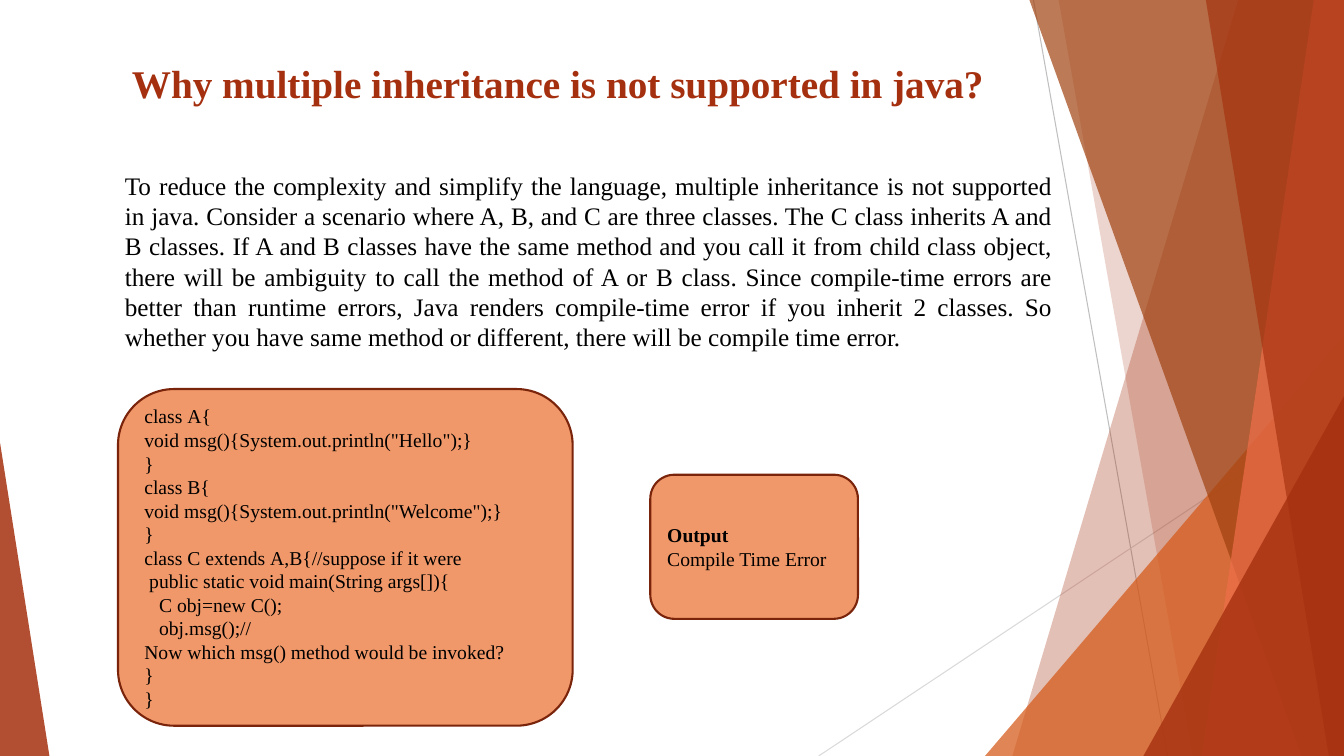
"""Build a slide on why Java has no multiple inheritance."""
import pptx
import pptx.dml.color
import pptx.enum.shapes
import pptx.enum.text
import pptx.oxml.ns
import pptx.util
from lxml import etree
from pptx.util import Inches

WIDTH, HEIGHT = 13.33, 7.5
FONT = "Times New Roman"
COLOURS = {
    "rust": "A5300F",
    "orange": "D55816",
    "brown": "A04210",
    "coral": "EE6E4A",
    "peach": "F09869",
    "border": "7A240B",
    "text": "000000",
    "grey": "BFBFBF",
    "pale grey": "D9D9D9",
}
BODY = (
    "To reduce the complexity and simplify the language, multiple inheritance is not "
    "supported in java. Consider a scenario where A, B, and C are three classes. The C "
    "class inherits A and B classes. If A and B classes have the same method and you call "
    "it from child class object, there will be ambiguity to call the method of A or B "
    "class. Since compile-time errors are better than runtime errors, Java renders "
    "compile-time error if you inherit 2 classes. So whether you have same method or "
    "different, there will be compile time error."
)
CODE = """class A{
void msg(){System.out.println("Hello");}
}
class B{
void msg(){System.out.println("Welcome");}
}
class C extends A,B{//suppose if it were
 public static void main(String args[]){
   C obj=new C();
   obj.msg();//Now which msg() method would be invoked?
}
}"""
NO_BREAK_SPACE = chr(160)


def rgb(name):
    return pptx.dml.color.RGBColor.from_string(COLOURS[name])


def add_thin_line(page, start, end, colour):
    line = page.shapes.add_connector(
        pptx.enum.shapes.MSO_CONNECTOR.STRAIGHT, *map(Inches, start + end)
    )
    line.line.color.rgb = rgb(colour)
    line.line.width = pptx.util.Pt(0.75)
    etree.SubElement(line._element.spPr, pptx.oxml.ns.qn("a:effectLst"))


def fill_translucent(shape, colour, opacity):
    shape.shadow.inherit = False
    shape.line.fill.background()
    shape.fill.solid()
    shape.fill.fore_color.rgb = rgb(colour)
    tint = shape._element.spPr.find(".//" + pptx.oxml.ns.qn("a:srgbClr"))
    alpha = etree.SubElement(tint, pptx.oxml.ns.qn("a:alpha"))
    alpha.set("val", str(opacity * 1000))


def add_band(page, top_x, bottom_x, colour, opacity):
    outline = page.shapes.build_freeform(Inches(top_x), 0, scale=1.0)
    corners = [(WIDTH, 0), (WIDTH, HEIGHT), (bottom_x, HEIGHT)]
    outline.add_line_segments([(Inches(x), Inches(y)) for x, y in corners], close=True)
    fill_translucent(outline.convert_to_shape(), colour, opacity)


def add_corner(page, left, top, width, apex, colour, opacity):
    corner = page.shapes.add_shape(
        pptx.enum.shapes.MSO_SHAPE.ISOSCELES_TRIANGLE,
        *map(Inches, (left, top, width, HEIGHT - top)),
    )
    corner.adjustments[0] = apex
    fill_translucent(corner, colour, opacity)


def write_lines(box, lines, size, colour="text", align="LEFT", anchor="TOP", bold_first=False):
    frame = box.text_frame
    frame.word_wrap = True
    frame.vertical_anchor = pptx.enum.text.MSO_ANCHOR[anchor]
    for index, line in enumerate(lines):
        para = frame.add_paragraph() if index else frame.paragraphs[0]
        para.alignment = pptx.enum.text.PP_ALIGN[align]
        span = para.add_run()
        span.text = line
        span.font.name = FONT
        span.font.size = pptx.util.Pt(size)
        span.font.bold = bold_first and index == 0
        span.font.color.rgb = rgb(colour)


def add_text(page, place, text, size, **style):
    write_lines(page.shapes.add_textbox(*map(Inches, place)), [text], size, **style)


def add_card(page, place, lines, **style):
    card = page.shapes.add_shape(
        pptx.enum.shapes.MSO_SHAPE.ROUNDED_RECTANGLE, *map(Inches, place)
    )
    card.shadow.inherit = False
    card.fill.solid()
    card.fill.fore_color.rgb = rgb("peach")
    card.line.color.rgb = rgb("border")
    card.line.width = pptx.util.Pt(1.5)
    write_lines(card, lines, 14, anchor="MIDDLE", **style)


def add_backdrop(page):
    add_thin_line(page, (10.25, 0), (11.58, HEIGHT), "grey")
    add_thin_line(page, (WIDTH, 4.03), (8.12, HEIGHT), "pale grey")
    add_band(page, 12.28, 10.04, "rust", 30)
    add_band(page, 10.5, 11.83, "rust", 20)
    add_corner(page, 9.77, 3.33, 3.56, 1, "orange", 72)
    add_band(page, 10.21, 12.91, "brown", 70)
    add_band(page, 13.03, 11.92, "coral", 70)
    add_band(page, 11.96, 13.18, "rust", 65)
    add_corner(page, 11.34, 3.93, 1.99, 1, "rust", 80)
    add_corner(page, 0, 4.39, 0.49, 0, "rust", 85)


def main():
    deck = pptx.Presentation()
    deck.slide_width, deck.slide_height = Inches(WIDTH), Inches(HEIGHT)
    page = deck.slides.add_slide(deck.slide_layouts[6])
    add_backdrop(page)
    add_text(
        page, (1.21, 0.54, 8.88, 0.76), "Why multiple inheritance is not supported in java?",
        28, colour="rust", bold_first=True,
    )
    add_text(page, (1.14, 1.64, 9.4, 2.22), BODY, 18, align="JUSTIFY")
    code_lines = CODE.replace(" ", NO_BREAK_SPACE).split("\n")
    add_card(page, (1.17, 3.86, 4.51, 3.34), code_lines)
    add_card(page, (6.45, 4.71, 2.06, 1.43), ["Output", "Compile Time Error"], bold_first=True)
    deck.save("out.pptx")


if __name__ == "__main__":
    main()
